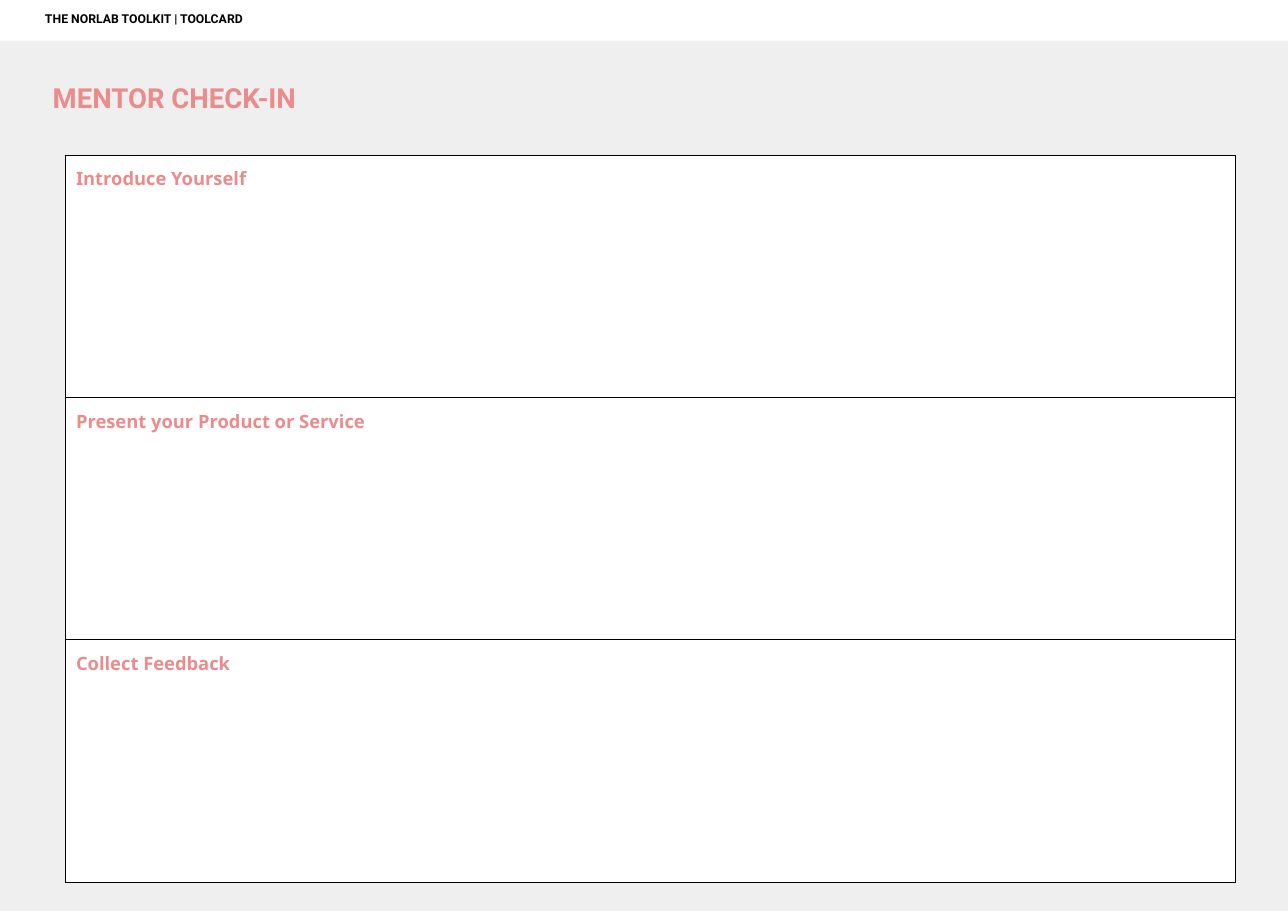
from lxml import etree
from pptx import Presentation
from pptx.dml.color import RGBColor
from pptx.enum.shapes import MSO_SHAPE
from pptx.enum.text import MSO_ANCHOR, PP_ALIGN
from pptx.oxml.ns import qn
from pptx.util import Pt

RECTANGLE = MSO_SHAPE.RECTANGLE
TOP, MIDDLE = MSO_ANCHOR.TOP, MSO_ANCHOR.MIDDLE
LEFT = PP_ALIGN.LEFT

COLORS = {"grey": "EFEFEF", "white": "FFFFFF", "pink": "EB8B8C", "black": "000000"}
PAGE_WIDTH, PAGE_HEIGHT = 841.68, 595.44
INSET = 7.2
COLUMN_WIDTH, ROW_HEIGHT = 382.32, 158.4
SECTIONS = ["Introduce Yourself", "Present your Product or Service", "Collect Feedback"]


def add_band(page, height, color):
    band = page.shapes.add_shape(RECTANGLE, 0, 0, Pt(PAGE_WIDTH), Pt(height))
    band.shadow.inherit = False
    band.fill.solid()
    band.fill.fore_color.rgb = RGBColor.from_string(COLORS[color])
    band.line.fill.background()
    return band


def write_text(frame, text, font, size, color, indent=0):
    frame.word_wrap = True
    frame.margin_left = frame.margin_right = Pt(INSET)
    frame.margin_top = frame.margin_bottom = Pt(INSET)
    para = frame.paragraphs[0]
    para.alignment = LEFT
    para._p.get_or_add_pPr().set("marL", str(Pt(indent)))
    span = para.add_run()
    span.text = text
    span.font.name = font
    span.font.size = Pt(size)
    span.font.bold = True
    span.font.color.rgb = RGBColor.from_string(COLORS[color])


deck = Presentation()
deck.slide_width, deck.slide_height = Pt(PAGE_WIDTH), Pt(PAGE_HEIGHT)
page = deck.slides.add_slide(deck.slide_layouts[6])

add_band(page, PAGE_HEIGHT, "grey")

title = page.shapes.add_textbox(0, Pt(45.36), Pt(478), Pt(36.72))
title.text_frame.vertical_anchor = MIDDLE
write_text(title.text_frame, "MENTOR CHECK-IN", "Roboto", 18, "pink", 27.36)

table = page.shapes.add_table(
    len(SECTIONS), 2, Pt(42.48), Pt(101.52),
    Pt(2 * COLUMN_WIDTH), Pt(len(SECTIONS) * ROW_HEIGHT),
).table
table.first_row = table.horz_banding = False
for column in table.columns:
    column.width = Pt(COLUMN_WIDTH)

for index, section in enumerate(SECTIONS):
    table.rows[index].height = Pt(ROW_HEIGHT)
    first, last = table.cell(index, 0), table.cell(index, 1)
    first.merge(last)
    for cell in (first, last):
        properties = cell._tc.get_or_add_tcPr()
        for side in ("a:lnL", "a:lnR", "a:lnT", "a:lnB"):
            border = etree.SubElement(properties, qn(side), w=str(Pt(0.75)))
            fill = etree.SubElement(border, qn("a:solidFill"))
            etree.SubElement(fill, qn("a:srgbClr"), val=COLORS["black"])
        cell.fill.solid()
        cell.fill.fore_color.rgb = RGBColor.from_string(COLORS["white"])
    first.margin_left = first.margin_right = Pt(INSET)
    first.margin_top = first.margin_bottom = Pt(INSET)
    write_text(first.text_frame, section, "Noto Sans", 12, "pink")

header = add_band(page, 26.64, "white")
header.text_frame.vertical_anchor = TOP
write_text(header.text_frame, "THE NORLAB TOOLKIT | TOOLCARD", "Roboto", 8, "black", 22.32)

deck.save("out.pptx")
